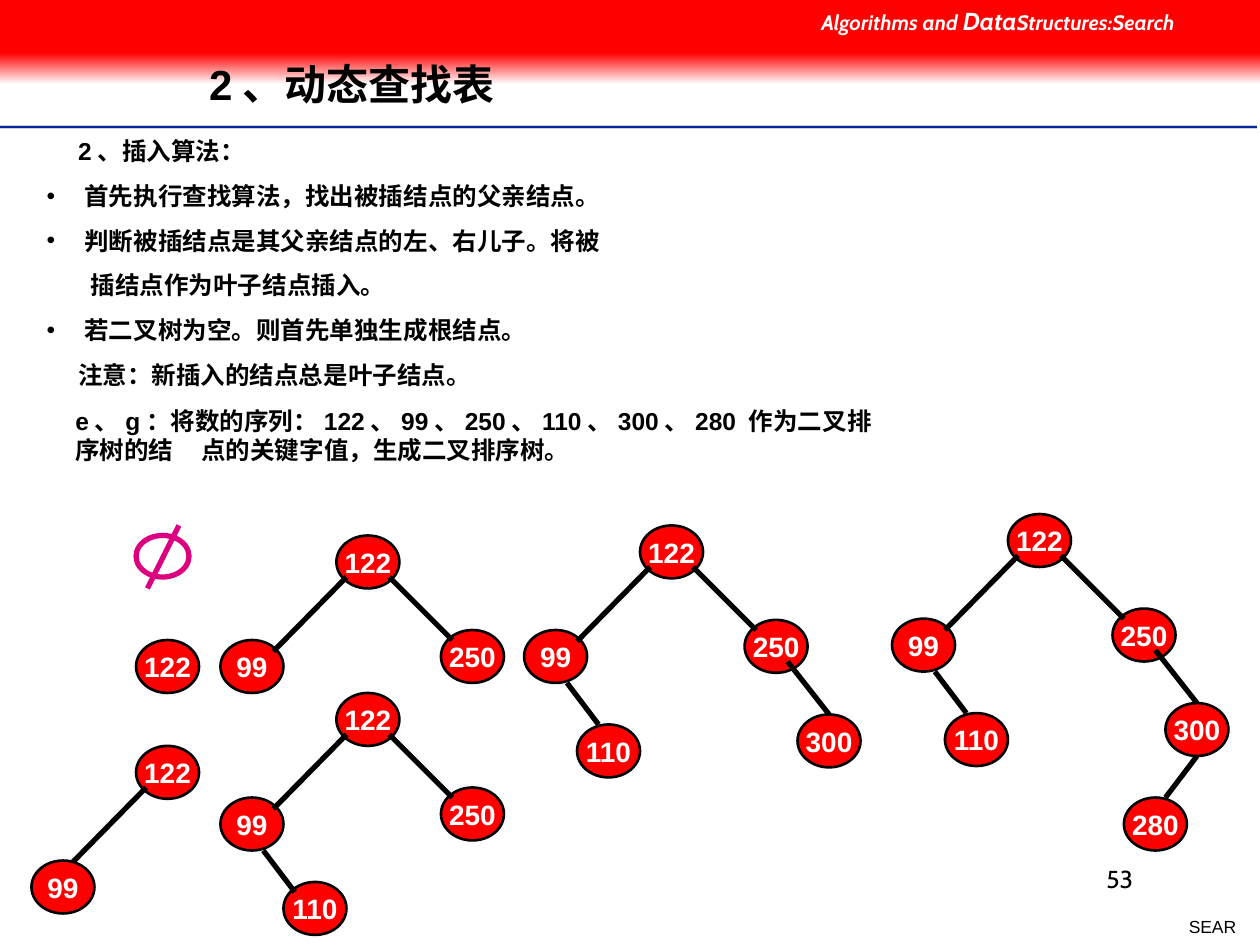
from dataclasses import dataclass

from lxml.etree import SubElement
from pptx import Presentation
from pptx.dml.color import RGBColor
from pptx.enum.shapes import MSO_CONNECTOR, MSO_SHAPE
from pptx.enum.text import MSO_ANCHOR, MSO_AUTO_SIZE, PP_ALIGN
from pptx.oxml.ns import qn
from pptx.util import Inches, Pt


@dataclass
class Theme:
    red: str = "FF0000"
    white: str = "FFFFFF"
    black: str = "000000"
    blue: str = "00279F"
    gray: str = "CECECE"
    pink: str = "DC0081"
    font: str = "Arial"
    head_font: str = "Cabin"
    title: int = 24
    node: int = 16
    body: int = 14
    head: int = 12
    foot: int = 10


theme = Theme()


def add_text(p, text, size=theme.body, color=theme.black, font=theme.font,
             bold=True, italic=False, align=PP_ALIGN.LEFT):
    p.alignment = align
    r = p.add_run()
    r.text = text
    r.font.size = Pt(size)
    r.font.name = font
    r.font.bold = bold
    r.font.italic = italic
    r.font.color.rgb = RGBColor.from_string(color)


def add_line(x1, y1, x2, y2, color=theme.black, width=3):
    ln = s.shapes.add_connector(MSO_CONNECTOR.STRAIGHT, Inches(x1), Inches(y1),
                                Inches(x2), Inches(y2))
    ln.line.color.rgb = RGBColor.from_string(color)
    ln.line.width = Pt(width)
    SubElement(ln.element.spPr, qn("a:effectLst"))


prs = Presentation()
prs.slide_width, prs.slide_height = Inches(10), Inches(7.5)
s = prs.slides.add_slide(prs.slide_layouts[1])

for y, color, width in [(1.01, theme.gray, 2), (1.01, theme.blue, 1),
                        (1.03, theme.white, 1)]:
    add_line(0, y, 9.98, y, color, width)

fade = s.shapes.add_shape(MSO_SHAPE.RECTANGLE, 0, Inches(0.42), Inches(10), Inches(0.25))
fade.fill.gradient()
fade.fill.gradient_angle = 270
for stop, color, pos in zip(fade.fill.gradient_stops, (theme.red, theme.white), (0, 1)):
    stop.color.rgb = RGBColor.from_string(color)
    stop.position = pos
band = s.shapes.add_shape(MSO_SHAPE.RECTANGLE, 0, 0, Inches(10), Inches(0.42))
band.fill.solid()
band.fill.fore_color.rgb = RGBColor.from_string(theme.red)
for sp in (fade, band):
    sp.line.fill.background()
    sp.shadow.inherit = False

head = s.shapes.add_textbox(Inches(6.42), 0, Inches(3.58), Inches(0.34))
head.text_frame.word_wrap = True
for text, size in [("Algorithms and ", theme.head), ("Data", theme.body),
                   ("Structures:Search", theme.head)]:
    add_text(head.text_frame.paragraphs[0], text, size=size, color=theme.white,
             font=theme.head_font, italic=True)

tag = s.shapes.add_textbox(Inches(9.33), Inches(7.22), Inches(0.58), Inches(0.27))
tag.text_frame.word_wrap = False
add_text(tag.text_frame.paragraphs[0], "SEAR", size=theme.foot, bold=False,
         align=PP_ALIGN.RIGHT)
page = s.shapes.add_textbox(Inches(7.17), Inches(6.81), Inches(1.92), Inches(0.5))
page.text_frame.word_wrap = True
add_text(page.text_frame.paragraphs[0], "53", font=theme.head_font, bold=False,
         align=PP_ALIGN.RIGHT)

title, body = s.shapes.title, s.placeholders[1]
for ph, box in [(title, (1.56, 0.32, 7.55, 0.74)), (body, (0.02, 1.03, 4.9, 2.11))]:
    ph.left, ph.top, ph.width, ph.height = map(Inches, box)
    ph.text_frame.auto_size = MSO_AUTO_SIZE.NONE
    ph.element.getparent().append(ph.element)
title.text_frame.vertical_anchor = MSO_ANCHOR.MIDDLE
p = title.text_frame.paragraphs[0]
p.line_spacing = 0.9
add_text(p, "2、动态查找表", size=theme.title)

lines = [
    ("2、插入算法：", 0.5, False),
    ("首先执行查找算法，找出被插结点的父亲结点。", 0.55, True),
    ("判断被插结点是其父亲结点的左、右儿子。将被", 0.55, True),
    ("插结点作为叶子结点插入。", 0.6, False),
    ("若二叉树为空。则首先单独生成根结点。", 0.55, True),
    ("注意：新插入的结点总是叶子结点。", 0.5, False),
]
tf = body.text_frame
for i, (text, margin, bullet) in enumerate(lines):
    p = tf.add_paragraph() if i else tf.paragraphs[0]
    p.space_before = Pt(8.8 if i else 0)
    pPr = p._p.get_or_add_pPr()
    pPr.set("marL", str(Inches(margin)))
    pPr.set("indent", str(Inches(0.25 - margin if bullet else 0)))
    if bullet:
        SubElement(pPr, qn("a:buChar"), char="•")
    else:
        SubElement(pPr, qn("a:buNone"))
    add_text(p, text)

example = s.shapes.add_textbox(0, Inches(3.17), Inches(7.17), Inches(0.57))
example.text_frame.word_wrap = True
p = example.text_frame.paragraphs[0]
pPr = p._p.get_or_add_pPr()
pPr.set("marL", str(Inches(0.5)))
pPr.set("indent", "0")
tabs = SubElement(pPr, qn("a:tabLst"))
SubElement(tabs, qn("a:tab"), pos=str(Inches(1.08)), algn="l")
add_text(p, "e、g：将数的序列：122、99、250、110、300、280 作为二叉排序树的结\t点的关键字值，生成二叉排序树。")

empty = s.shapes.add_shape(MSO_SHAPE.OVAL, Inches(1.08), Inches(4.25), Inches(0.42), Inches(0.33))
empty.shadow.inherit = False
empty.fill.solid()
empty.fill.fore_color.rgb = RGBColor.from_string(theme.white)
empty.line.color.rgb = RGBColor.from_string(theme.pink)
empty.line.width = Pt(3)
add_line(1.42, 4.17, 1.17, 4.67, theme.pink)

nodes = {122: (0, 0), 250: (0.83, 0.75), 99: (-0.92, 0.83),
         110: (-0.5, 1.58), 300: (1.25, 1.5), 280: (0.92, 2.25)}
edges = {99: (0.08, 0.33, -0.5, 0.92), 250: (0.42, 0.33, 0.92, 0.83),
         110: (-0.58, 1.25, -0.33, 1.58), 300: (1.17, 1.08, 1.5, 1.5),
         280: (1.5, 1.92, 1.25, 2.25)}
trees = [
    (1.08, 5.08, [122], {}),
    (1.08, 5.92, [122, 99], {99: (-0.83, 0.91)}),
    (2.67, 4.25, [122, 99, 250], {}),
    (2.67, 5.5, [122, 99, 250, 110], {110: (-0.42, 1.5)}),
    (5.08, 4.17, [122, 99, 250, 110, 300], {}),
    (8, 4.08, [122, 99, 250, 110, 300, 280], {}),
]
for x, y, keys, moved in trees:
    for key in keys:
        dx, dy = moved.get(key, nodes[key])
        sp = s.shapes.add_shape(MSO_SHAPE.OVAL, Inches(x + dx), Inches(y + dy),
                                Inches(0.5), Inches(0.42))
        sp.shadow.inherit = False
        sp.fill.solid()
        sp.fill.fore_color.rgb = RGBColor.from_string(theme.red)
        sp.line.color.rgb = RGBColor.from_string(theme.black)
        sp.line.width = Pt(1.5)
        sp.text_frame.word_wrap = False
        sp.text_frame.vertical_anchor = MSO_ANCHOR.MIDDLE
        add_text(sp.text_frame.paragraphs[0], str(key), size=theme.node,
                 color=theme.white, align=PP_ALIGN.CENTER)
    for key in keys[1:]:
        x1, y1, x2, y2 = edges[key]
        add_line(x + x1, y + y1, x + x2, y + y2)

prs.save("out.pptx")
